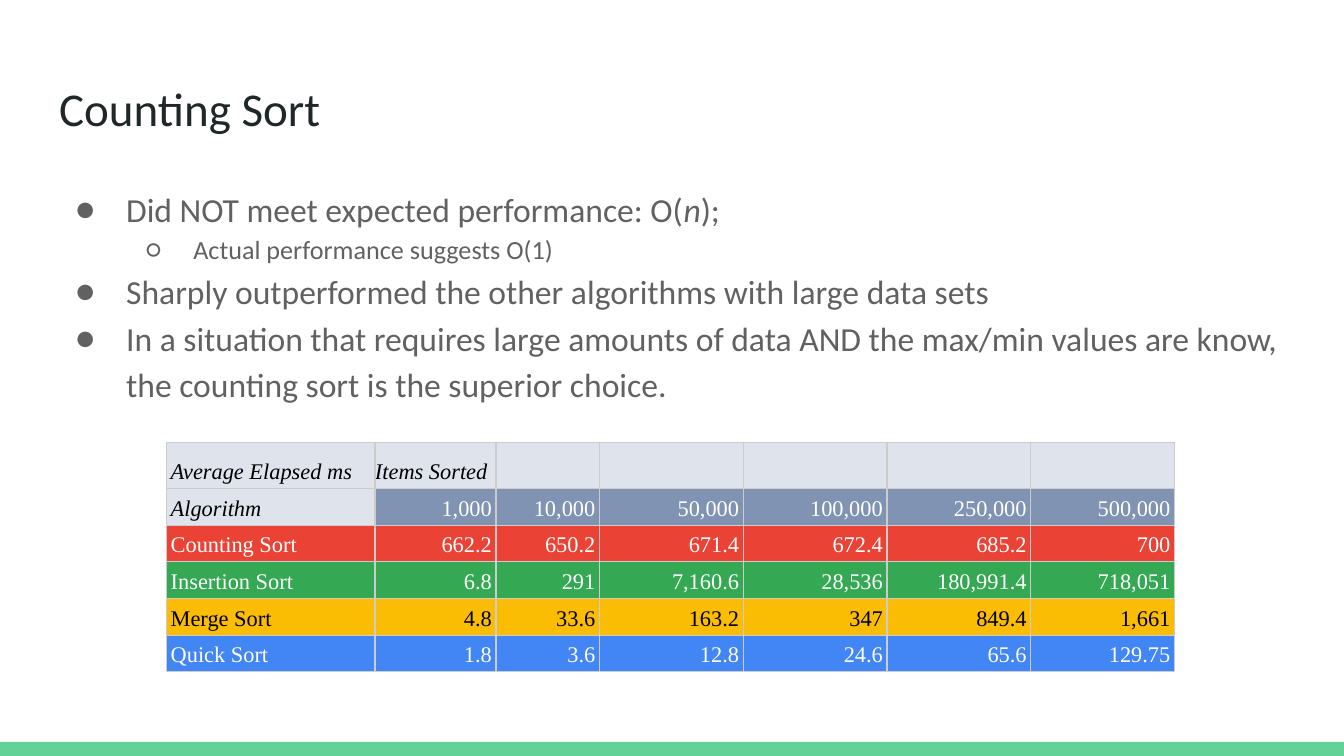
"""Build the Counting Sort results slide."""
import pptx
import pptx.dml.color
import pptx.enum.shapes
import pptx.enum.text
import pptx.oxml
import pptx.oxml.ns
import pptx.util

Inches = pptx.util.Inches
ALIGN = pptx.enum.text.PP_ALIGN
ANCHOR = pptx.enum.text.MSO_ANCHOR

COLORS = {
    "accent": "63D297", "title": "202729", "body": "616161",
    "black": "000000", "white": "FFFFFF", "border": "CCCCCC",
    "heading": "DFE4EC", "sizes": "8093B3", "counting": "EA4335",
    "insertion": "34A853", "merge": "FBBC04", "quick": "4285F4",
}
BULLETS = [
    (0, [("Did NOT meet expected performance: O(", False), ("n", True), (");", False)]),
    (1, [("Actual performance suggests O(1)", False)]),
    (0, [("Sharply outperformed the other algorithms with large data sets", False)]),
    (0, [("In a situation that requires large amounts of data AND the max/min values "
          "are know, the counting sort is the superior choice.", False)]),
]
BULLET_LEVELS = [
    {"symbol": "●", "size": 18, "left": 0.5, "indent": -0.38},
    {"symbol": "○", "size": 14, "left": 1, "indent": -0.35},
]
COLUMN_WIDTHS = [1.55, 0.9, 0.77] + [1.07] * 4
ROW_HEIGHT = 0.22
ROWS = [
    ("heading", "black", ["Average Elapsed ms", "Items Sorted", "", "", "", "", ""]),
    ("sizes", "white", ["Algorithm", "1,000", "10,000", "50,000", "100,000", "250,000", "500,000"]),
    ("counting", "white", ["Counting Sort", "662.2", "650.2", "671.4", "672.4", "685.2", "700"]),
    ("insertion", "white", ["Insertion Sort", "6.8", "291", "7,160.6", "28,536", "180,991.4", "718,051"]),
    ("merge", "black", ["Merge Sort", "4.8", "33.6", "163.2", "347", "849.4", "1,661"]),
    ("quick", "white", ["Quick Sort", "1.8", "3.6", "12.8", "24.6", "65.6", "129.75"]),
]


class SlideBuilder:
    """Hold the style and the current slide."""

    font = "Calibri"
    table_font = "Times New Roman"
    line_spacing = 1.15

    def __init__(self, slide):
        self.slide = slide

    def color(self, name):
        return pptx.dml.color.RGBColor.from_string(COLORS[name])

    def apply(self, target, values):
        for name, value in values.items():
            setattr(target, name, value)

    def fill(self, target, name):
        target.fill.solid()
        target.fill.fore_color.rgb = self.color(name)

    def element(self, parent, tag, **attributes):
        child = pptx.oxml.parse_xml(f"<a:{tag} {pptx.oxml.ns.nsdecls('a')}/>")
        for name, value in attributes.items():
            child.set(name, str(value))
        parent.append(child)
        return child

    def run(self, paragraph, text, size, color, font, italic=False):
        run = paragraph.add_run()
        run.text = text
        self.apply(run.font, {"size": pptx.util.Pt(size), "name": font, "italic": italic})
        run.font.color.rgb = self.color(color)

    def frame(self, text_frame):
        margins = {f"margin_{side}": Inches(0.1) for side in ("left", "top", "right", "bottom")}
        self.apply(text_frame, {
            "word_wrap": True, "vertical_anchor": ANCHOR.TOP,
            "auto_size": pptx.enum.text.MSO_AUTO_SIZE.NONE, **margins})

    def bar(self, left, top, width, height, color):
        shape = self.slide.shapes.add_shape(
            pptx.enum.shapes.MSO_SHAPE.RECTANGLE,
            Inches(left), Inches(top), Inches(width), Inches(height))
        shape.shadow.inherit = False
        self.fill(shape, color)
        shape.line.fill.background()

    def title(self, text, left, top, width, height):
        shape = self.slide.shapes.title
        self.apply(shape, {"left": Inches(left), "top": Inches(top),
                           "width": Inches(width), "height": Inches(height)})
        self.frame(shape.text_frame)
        paragraph = shape.text_frame.paragraphs[0]
        paragraph.alignment = ALIGN.LEFT
        self.run(paragraph, text, 25.2, "title", self.font)

    def bullets(self, items, left, top, width, height):
        shape = self.slide.shapes.add_textbox(
            Inches(left), Inches(top), Inches(width), Inches(height))
        self.frame(shape.text_frame)
        for index, (level, runs) in enumerate(items):
            frame = shape.text_frame
            paragraph = frame.add_paragraph() if index else frame.paragraphs[0]
            style = BULLET_LEVELS[level]
            self.apply(paragraph, {"level": level, "line_spacing": self.line_spacing})
            properties = paragraph._p.get_or_add_pPr()
            properties.set("marL", str(Inches(style["left"])))
            properties.set("indent", str(Inches(style["indent"])))
            bullet_color = self.element(properties, "buClr")
            self.element(bullet_color, "srgbClr", val=COLORS["body"])
            self.element(properties, "buFont", typeface=self.font)
            self.element(properties, "buChar", char=style["symbol"])
            for text, italic in runs:
                self.run(paragraph, text, style["size"], "body", self.font, italic)

    def borders(self, cell):
        properties = cell._tc.get_or_add_tcPr()
        for side in ("lnL", "lnR", "lnT", "lnB"):
            line = self.element(properties, side, w=pptx.util.Pt(0.75))
            solid = self.element(line, "solidFill")
            self.element(solid, "srgbClr", val=COLORS["border"])

    def cell(self, cell, text, fill, color, align, italic, side_margin):
        self.borders(cell)
        self.fill(cell, fill)
        end_margin = Inches(0.03 if text else 0.02)
        self.apply(cell, {
            "vertical_anchor": ANCHOR.BOTTOM,
            "margin_left": Inches(side_margin), "margin_right": Inches(side_margin),
            "margin_top": end_margin, "margin_bottom": end_margin})
        if text:
            paragraph = cell.text_frame.paragraphs[0]
            self.apply(paragraph, {"alignment": align, "line_spacing": self.line_spacing})
            self.run(paragraph, text, 12, color, self.table_font, italic)

    def table(self, rows, left, top):
        table = self.slide.shapes.add_table(
            len(rows), len(COLUMN_WIDTHS), Inches(left), Inches(top),
            Inches(sum(COLUMN_WIDTHS)), Inches(ROW_HEIGHT * len(rows))).table
        self.apply(table, {"first_row": False, "horz_banding": False})
        for column, width in zip(table.columns, COLUMN_WIDTHS):
            column.width = Inches(width)
        for row_index, (fill, color, texts) in enumerate(rows):
            for column_index, text in enumerate(texts):
                heading = row_index == 0 or (row_index == 1 and column_index == 0)
                number = row_index > 0 and column_index > 0
                self.cell(
                    table.cell(row_index, column_index), text,
                    "heading" if heading else fill, "black" if heading else color,
                    ALIGN.RIGHT if number else ALIGN.LEFT, heading,
                    0 if row_index == 0 and column_index > 0 else 0.03)


def main():
    presentation = pptx.Presentation()
    presentation.slide_width = Inches(10)
    presentation.slide_height = presentation.slide_width * 9 // 16
    builder = SlideBuilder(presentation.slides.add_slide(presentation.slide_layouts[5]))
    builder.bar(0, 5.52, 10, 0.11, "accent")
    builder.title("Counting Sort", 0.34, 0.49, 9.32, 0.63)
    builder.bullets(BULLETS, 0.34, 1.26, 9.32, 3.74)
    builder.table(ROWS, 1.24, 3.29)
    presentation.save("out.pptx")


if __name__ == "__main__":
    main()
